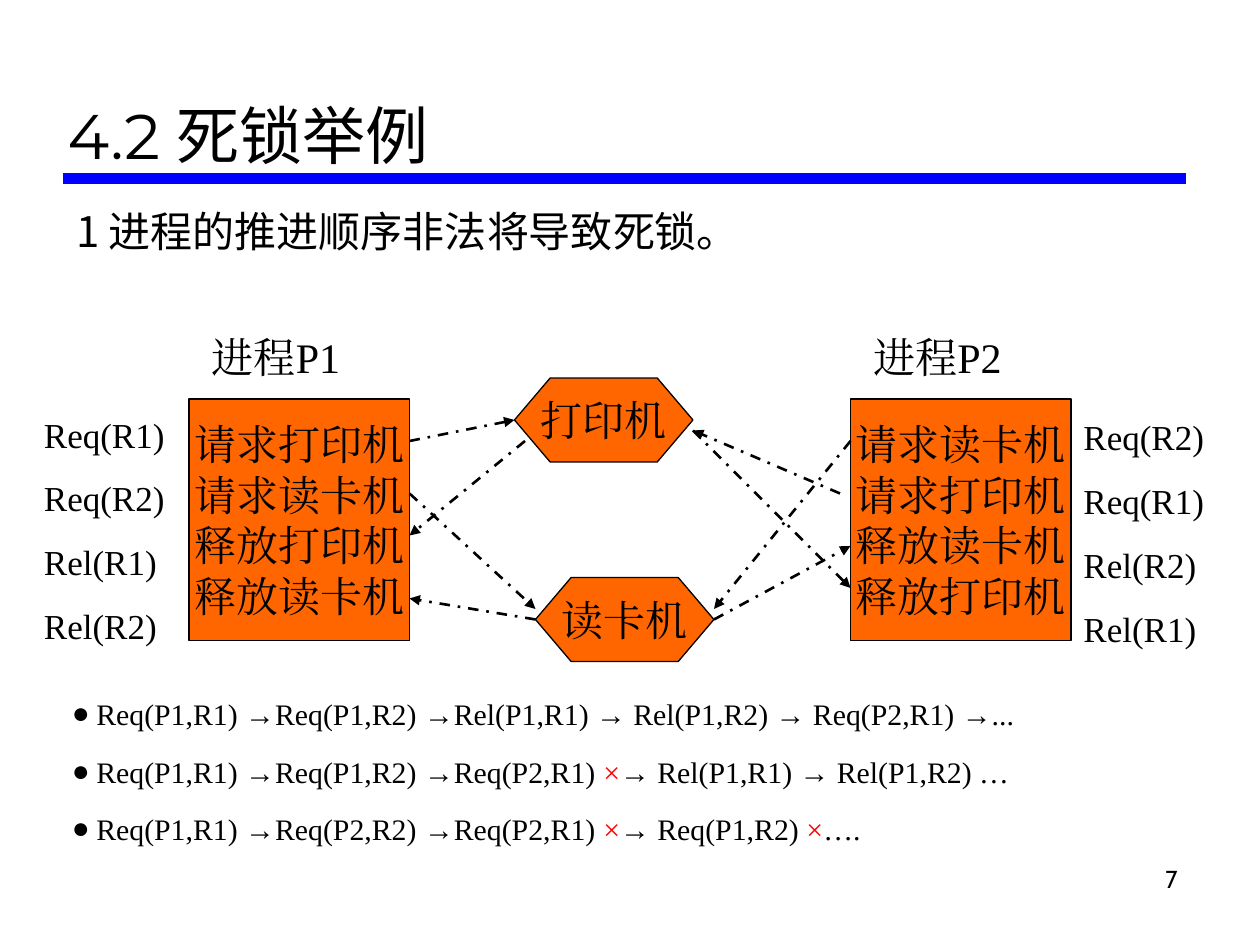
import pptx
import pptx.util
import pptx.dml.color
import pptx.enum.dml
import pptx.enum.shapes
import pptx.enum.text
import pptx.oxml
import pptx.oxml.ns

Pt = pptx.util.Pt
ALIGN = pptx.enum.text.PP_ALIGN
ANCHOR = pptx.enum.text.MSO_ANCHOR
SHAPE = pptx.enum.shapes.MSO_SHAPE
COLORS = {"text": "000000", "rule": "0000FF", "box": "FF6600", "blocked": "FF0000"}
SERIF = "Times New Roman"

TITLE = "4.2 死锁举例"
SUBTITLE = "1 进程的推进顺序非法将导致死锁。"
PAGE_NUMBER = "7"

# name, box left, calls left, calls top, steps, calls
PROCESSES = [
    ("进程P1", 108, 18, 232.5,
     ["请求打印机", "请求读卡机", "释放打印机", "释放读卡机"],
     ["Req(R1)", "Req(R2)", "Rel(R1)", "Rel(R2)"]),
    ("进程P2", 486, 612, 234,
     ["请求读卡机", "请求打印机", "释放读卡机", "释放打印机"],
     ["Req(R2)", "Req(R1)", "Rel(R2)", "Rel(R1)"]),
]
DEVICES = [("打印机", 294, 216), ("读卡机", 306, 330)]
ARROWS = [
    (234, 252, 294, 240), (300, 252, 234, 306),
    (234, 282, 306, 348), (306, 354, 234, 342),
    (486, 252, 408, 348), (396, 246, 486, 336),
    (480, 282, 396, 246), (408, 354, 486, 312),
]
SEQUENCES = [
    "Req(P1,R1) →Req(P1,R2) →Rel(P1,R1) → Rel(P1,R2) → Req(P2,R1) →...",
    "Req(P1,R1) →Req(P1,R2) →Req(P2,R1) ×→ Rel(P1,R1) → Rel(P1,R2) …",
    "Req(P1,R1) →Req(P2,R2) →Req(P2,R1) ×→ Req(P1,R2) ×….",
]


def rgb(name):
    return pptx.dml.color.RGBColor.from_string(COLORS[name])


def add_xml(parent, tag, **attrs):
    el = pptx.oxml.parse_xml(f"<a:{tag} {pptx.oxml.ns.nsdecls('a')}/>")
    for key, value in attrs.items():
        el.set(key, value)
    parent.append(el)


def add_run(p, text, size, font, color="text"):
    r = p.add_run()
    r.text = text
    r.font.size = Pt(size)
    r.font.name = font
    r.font.color.rgb = rgb(color)
    add_xml(r.font._element, "ea", typeface=font)


def write(s, lines, size, font=SERIF, align=ALIGN.LEFT, anchor=ANCHOR.TOP,
          before=0, wrap=True, bullet=False):
    """Fill a shape with one paragraph per line; each × becomes a red run."""
    tf = s.text_frame
    tf.word_wrap = wrap
    tf.vertical_anchor = anchor
    for i, line in enumerate(lines):
        p = tf.add_paragraph() if i else tf.paragraphs[0]
        p.alignment = align
        if i and before:
            p.space_before = Pt(before)
        if bullet:
            pPr = p._p.get_or_add_pPr()
            pPr.set("marL", str(Pt(14)))
            pPr.set("indent", str(-Pt(14)))
            add_xml(pPr, "buFont", typeface=font)
            add_xml(pPr, "buChar", char="●")
        for j, part in enumerate(line.split("×")):
            if j:
                add_run(p, "×", size, font, "blocked")
            add_run(p, part, size, font)


def place(s, left, top, width, height):
    s.left, s.top, s.width, s.height = map(Pt, (left, top, width, height))


def add_text(slide, bounds, lines, size, **style):
    write(slide.shapes.add_textbox(*map(Pt, bounds)), lines, size, **style)


def add_box(slide, kind, bounds, lines):
    s = slide.shapes.add_shape(kind, *map(Pt, bounds))
    s.shadow.inherit = False
    s.fill.solid()
    s.fill.fore_color.rgb = rgb("box")
    s.line.color.rgb = rgb("text")
    s.line.width = Pt(0.75)
    write(s, lines, 24, align=ALIGN.CENTER, anchor=ANCHOR.MIDDLE, wrap=False)


def add_line(slide, ends, color, width):
    c = slide.shapes.add_connector(pptx.enum.shapes.MSO_CONNECTOR.STRAIGHT, *map(Pt, ends))
    c.line.color.rgb = rgb(color)
    c.line.width = Pt(width)
    add_xml(c._element.spPr, "effectLst")
    return c


def add_arrow(slide, ends):
    c = add_line(slide, ends, "text", 1.5)
    c.line.dash_style = pptx.enum.dml.MSO_LINE.DASH_DOT
    add_xml(c.line._get_or_add_ln(), "tailEnd", type="triangle")


def main():
    prs = pptx.Presentation()
    prs.slide_width, prs.slide_height = Pt(720), Pt(540)
    slide = prs.slides.add_slide(prs.slide_layouts[5])

    add_line(slide, (36, 102, 678, 102), "rule", 6)
    title = slide.shapes.title
    place(title, 31.5, 12, 646, 90)
    write(title, [TITLE], 36, font="Montserrat", anchor=ANCHOR.BOTTOM)
    add_text(slide, (36.5, 114, 612, 54), [SUBTITLE], 24, font="Noto Sans CJK SC")

    for name, left, calls_left, calls_top, steps, calls in PROCESSES:
        add_box(slide, SHAPE.RECTANGLE, (left, 228, 126, 138), steps)
        add_text(slide, (left + 6, 186, 108, 36), [name], 24)
        add_text(slide, (calls_left, calls_top, 96, 141), calls, 20, before=12.5)
    for name, left, top in DEVICES:
        add_box(slide, SHAPE.FLOWCHART_PREPARATION, (left, top, 102, 48), [name])
    for ends in ARROWS:
        add_arrow(slide, ends)

    add_text(slide, (34, 394, 664, 96), SEQUENCES, 17, before=12.5, bullet=True)
    add_text(slide, (530, 490, 150, 36), [PAGE_NUMBER], 14, font="Cabin", align=ALIGN.RIGHT)
    prs.save("out.pptx")


if __name__ == "__main__":
    main()
